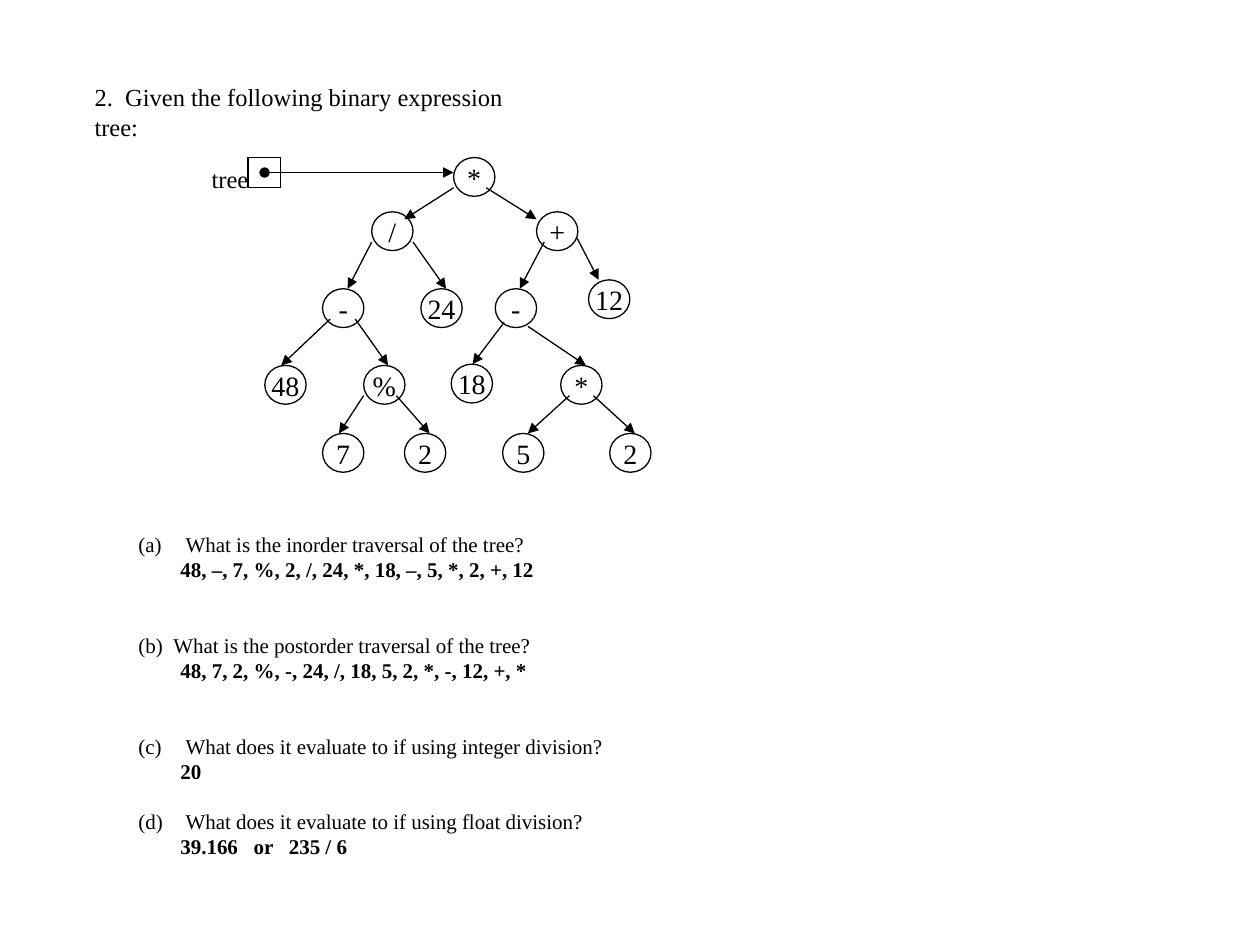
import pptx
import pptx.util
import pptx.dml.color
import pptx.enum.shapes
import pptx.enum.text
import pptx.oxml
import pptx.oxml.ns
from dataclasses import dataclass

Pt = pptx.util.Pt
SHAPE = pptx.enum.shapes.MSO_SHAPE
ALIGN = pptx.enum.text.PP_ALIGN
ANCHOR = pptx.enum.text.MSO_ANCHOR
FIT = pptx.enum.text.MSO_AUTO_SIZE


@dataclass(frozen=True)
class Theme:
    ink: pptx.dml.color.RGBColor = pptx.dml.color.RGBColor(0, 0, 0)
    font: str = "Times New Roman"
    heading: float = 14
    node: float = 16
    body: float = 12
    line: float = 0.75


theme = Theme()

# Content
HEADING = "2.  Given the following binary expression tree:"
POINTER = "tree"

# Node: label, left, top
NODES = {
    "root": ("*", 259.2, 90), "div": ("/", 212.4, 121), "plus": ("+", 306.6, 121),
    "minus_l": ("-", 184.3, 165), "n24": ("24", 240.5, 165),
    "minus_r": ("-", 283, 165), "n12": ("12", 336.3, 159.9),
    "n48": ("48", 151.3, 208.8), "mod": ("%", 207.8, 208.8),
    "n18": ("18", 257.8, 208.1), "times": ("*", 320.4, 208.8),
    "n7": ("7", 184.3, 247.7), "n2_l": ("2", 231.1, 247.7),
    "n5": ("5", 287.2, 247.7), "n2_r": ("2", 348.4, 247.7),
}
NODE_W, NODE_H = 23.6, 22.2

# Edge: parent, child, start offset in parent, end offset in child
EDGES = [
    ("root", "div", (0, 17.3), (18.7, 4.3)), ("root", "plus", (18.7, 17.3), (0, 4.3)),
    ("div", "minus_l", (0, 17.3), (14.4, 0)), ("div", "n24", (23.6, 17.3), (14.4, 0)),
    ("plus", "minus_r", (4.4, 17.3), (14, 0)), ("plus", "n12", (23.2, 15.1), (5.8, 0)),
    ("minus_l", "n48", (4.4, 17.3), (9.4, 0)), ("minus_l", "mod", (18.7, 17.3), (14, 0)),
    ("minus_r", "n18", (5, 19.3), (12.2, 0)), ("minus_r", "times", (18.7, 21.5), (14.4, 0)),
    ("mod", "n7", (0, 17.3), (9.4, 0)), ("mod", "n2_l", (18.7, 17.3), (14.4, 0)),
    ("times", "n5", (5, 17.3), (14.4, 0)), ("times", "n2_r", (18.7, 17.3), (14.4, 0)),
]

# Question, answer, indent, lines left free above
QUESTIONS = [
    ("What is the inorder traversal of the tree?",
     "48, –, 7, %, 2, /, 24, *, 18, –, 5, *, 2, +, 12", 27, 0),
    ("What is the postorder traversal of the tree?",
     "48, 7, 2, %, -, 24, /, 18, 5, 2, *, -, 12, +, *", 20, 2),
    ("What does it evaluate to if using integer division?", "20", 27, 2),
    ("What does it evaluate to if using float division?", "39.166   or   235 / 6", 27, 1),
]
ANSWER_INDENT, LINE_PITCH = 24, 14.4


def apply(obj, **values):
    for name, value in values.items():
        setattr(obj, name, value)


def write(p, text, size, bold=False):
    r = p.add_run()
    r.text = text
    apply(r.font, name=theme.font, size=Pt(size), bold=bold)
    r.font.color.rgb = theme.ink


def indent(p, left, hanging=0, number=None):
    pPr = p._p.get_or_add_pPr()
    pPr.set("marL", str(Pt(left)))
    pPr.set("indent", str(-Pt(hanging)))
    if number:
        bullet = pptx.oxml.parse_xml(
            f'<a:buAutoNum {pptx.oxml.ns.nsdecls("a")} type="alphaLcParenBoth" startAt="{number}"/>')
        pPr.append(bullet)


def outline(shapes, kind, *box):
    sp = shapes.add_shape(kind, *map(Pt, box))
    sp.shadow.inherit = False
    sp.fill.background()
    sp.line.color.rgb = theme.ink
    sp.line.width = Pt(theme.line)
    return sp


def arrow(shapes, start, end, oval=False):
    line = shapes.add_connector(pptx.enum.shapes.MSO_CONNECTOR.STRAIGHT,
                                *map(Pt, (*start, *end)))
    line.line.color.rgb = theme.ink
    line.line.width = Pt(theme.line)
    ends = [("headEnd", "oval")] if oval else []
    ns = pptx.oxml.ns.nsdecls("a")
    for tag, kind in ends + [("tailEnd", "triangle")]:
        line.line._get_or_add_ln().append(pptx.oxml.parse_xml(f'<a:{tag} {ns} type="{kind}"/>'))
    line._element.spPr.append(pptx.oxml.parse_xml(f"<a:effectLst {ns}/>"))


prs = pptx.Presentation()
apply(prs, slide_width=Pt(720), slide_height=Pt(540))
s = prs.slides.add_slide(prs.slide_layouts[5])

# Heading
title = s.shapes.title
apply(title, left=Pt(46.8), top=Pt(43.2), width=Pt(270), height=Pt(42))
apply(title.text_frame, word_wrap=True, auto_size=FIT.NONE, vertical_anchor=ANCHOR.TOP)
p = title.text_frame.paragraphs[0]
apply(p, alignment=ALIGN.LEFT, line_spacing=Pt(17))
write(p, HEADING, theme.heading)

# Questions and answers
box = s.shapes.add_textbox(*map(Pt, (72, 300.2, 360, 225.4)))
tf = box.text_frame
tf.word_wrap = True
for i, (question, answer, hanging, gap) in enumerate(QUESTIONS):
    p = tf.add_paragraph() if i else tf.paragraphs[0]
    apply(p, line_spacing=Pt(LINE_PITCH), space_before=Pt(gap * LINE_PITCH))
    indent(p, hanging, hanging, i + 1)
    write(p, question, theme.body)
    p = tf.add_paragraph()
    p.line_spacing = Pt(LINE_PITCH)
    indent(p, ANSWER_INDENT)
    write(p, answer, theme.body, bold=True)

# Tree nodes and edges
tree = s.shapes.add_group_shape().shapes
for label, left, top in NODES.values():
    tf = outline(tree, SHAPE.OVAL, left, top, NODE_W, NODE_H).text_frame
    apply(tf, word_wrap=False, vertical_anchor=ANCHOR.MIDDLE)
    tf.paragraphs[0].alignment = ALIGN.CENTER
    write(tf.paragraphs[0], label, theme.node)
for parent, child, start, end in EDGES:
    ends = [[a + b for a, b in zip(NODES[name][1:], offset)]
            for name, offset in ((parent, start), (child, end))]
    arrow(tree, *ends)

# Pointer to the root
outline(tree, SHAPE.RECTANGLE, 141.8, 90, 18.7, 17.3)
box = tree.add_textbox(*map(Pt, (113.8, 90, 35.3, 23.8)))
box.text_frame.word_wrap = False
write(box.text_frame.paragraphs[0], POINTER, theme.heading)
arrow(tree, (151.2, 98.6), (259.2, 98.6), oval=True)

prs.save("out.pptx")
